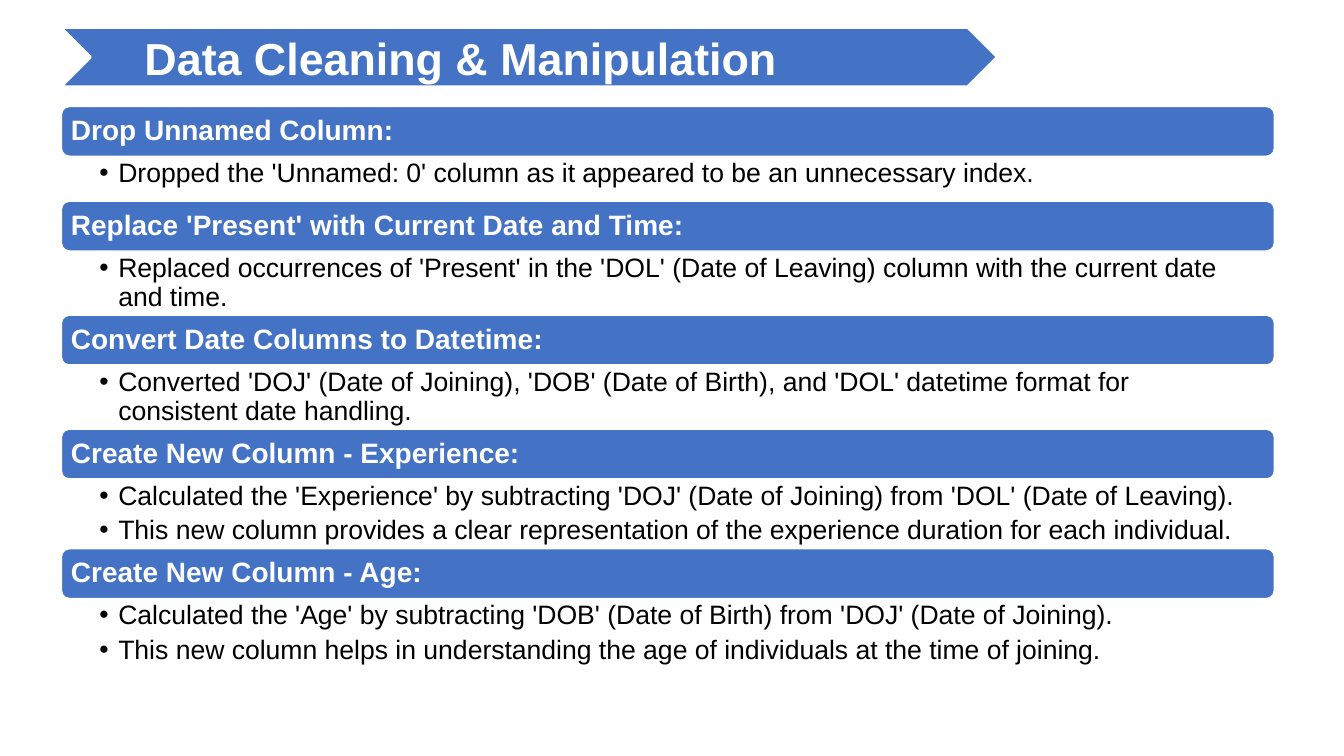
from dataclasses import dataclass

from lxml import etree
from pptx import Presentation
from pptx.dml.color import RGBColor
from pptx.enum import shapes, text
from pptx.oxml.ns import qn
from pptx.util import Pt


@dataclass(frozen=True)
class Theme:
    font: str = "Arial"
    blue: RGBColor = RGBColor(0x44, 0x72, 0xC4)
    white: RGBColor = RGBColor(255, 255, 255)
    black: RGBColor = RGBColor(0, 0, 0)
    title: float = 32
    head: float = 20
    body: float = 19


class Deck:
    def __init__(self, theme):
        self.theme = theme
        self.prs = Presentation()
        self.prs.slide_width, self.prs.slide_height = Pt(960), Pt(540)
        self.page = self.prs.slides.add_slide(self.prs.slide_layouts[1])
        for item in list(self.page.placeholders):
            item.element.getparent().remove(item.element)

    def holder(self, index, box):
        """Add a layout placeholder on top of the shapes drawn so far."""
        self.page.shapes.clone_placeholder(self.page.slide_layout.placeholders[index])
        item = self.page.shapes[-1]
        item.left, item.top, item.width, item.height = map(Pt, box)
        return item

    def shape(self, kind, box):
        item = self.page.shapes.add_shape(kind, *map(Pt, box))
        item.shadow.inherit = False
        item.fill.solid()
        item.fill.fore_color.rgb = self.theme.blue
        item.line.color.rgb = self.theme.white
        item.line.width = Pt(2)
        return item

    def frame(self, item, words, pads, anchor):
        frame = item.text_frame
        frame.text = words
        frame.word_wrap = True
        frame.auto_size = text.MSO_AUTO_SIZE.NONE
        frame.vertical_anchor = anchor
        (frame.margin_left, frame.margin_top,
         frame.margin_right, frame.margin_bottom) = map(Pt, pads)
        return frame

    def style(self, frame, size, color, bold=False, line=1.0, after=0):
        for para in frame.paragraphs:
            para.alignment = text.PP_ALIGN.LEFT
            para.line_spacing = line
            para.space_before, para.space_after = Pt(0), Pt(after)
            for run in para.runs:
                font = run.font
                font.name, font.size, font.bold = self.theme.font, Pt(size), bold
                font.color.rgb = color

    def title(self, words, box):
        frame = self.frame(self.holder(0, box), words, (9.4, 3, 3, 3),
                           text.MSO_ANCHOR.MIDDLE)
        self.style(frame, self.theme.title, self.theme.white, True)

    def bar(self, words, box):
        item = self.shape(shapes.MSO_SHAPE.ROUNDED_RECTANGLE, box)
        frame = self.frame(item, words, (5.5, 4, 5.5, 4), text.MSO_ANCHOR.MIDDLE)
        self.style(frame, self.theme.head, self.theme.white, True, 0.9)

    def list(self, items, box):
        frame = self.frame(self.holder(1, box), "\n".join(items),
                           (27.6, 2, 13.6, 2), text.MSO_ANCHOR.TOP)
        self.style(frame, self.theme.body, self.theme.black, line=0.9, after=4)
        for para in frame.paragraphs:
            props = para._p.get_or_add_pPr()
            props.set("marL", str(Pt(13.5)))
            props.set("indent", str(-Pt(13.5)))
            etree.SubElement(props, qn("a:buChar")).set("char", "•")


STEPS = [
    ("Drop Unnamed Column:", 31.2,
     ["Dropped the 'Unnamed: 0' column as it appeared to be an unnecessary index."]),
    ("Replace 'Present' with Current Date and Time:", 44.9,
     ["Replaced occurrences of 'Present' in the 'DOL' (Date of Leaving) column "
      "with the current date and time."]),
    ("Convert Date Columns to Datetime:", 44.9,
     ["Converted 'DOJ' (Date of Joining), 'DOB' (Date of Birth), and 'DOL' "
      "datetime format for consistent date handling."]),
    ("Create New Column - Experience:", 48.9,
     ["Calculated the 'Experience' by subtracting 'DOJ' (Date of Joining) "
      "from 'DOL' (Date of Leaving).",
      "This new column provides a clear representation of the experience "
      "duration for each individual."]),
    ("Create New Column - Age:", 48.9,
     ["Calculated the 'Age' by subtracting 'DOB' (Date of Birth) "
      "from 'DOJ' (Date of Joining).",
      "This new column helps in understanding the age of individuals "
      "at the time of joining."]),
]
LEFT, WIDTH, BAR = 43.4, 867.4, 36.5


def main():
    deck = Deck(Theme())
    top = 75.6
    for head, height, items in STEPS:
        deck.bar(head, (LEFT, top, WIDTH, BAR))
        deck.list(items, (LEFT, top + BAR, WIDTH, height))
        top += BAR + height
    deck.shape(shapes.MSO_SHAPE.CHEVRON, (LEFT, 19.6, 669, 42.4))
    deck.title("Data Cleaning & Manipulation", (93.8, 19.6, 510.5, 42.4))
    deck.prs.save("out.pptx")


if __name__ == "__main__":
    main()
